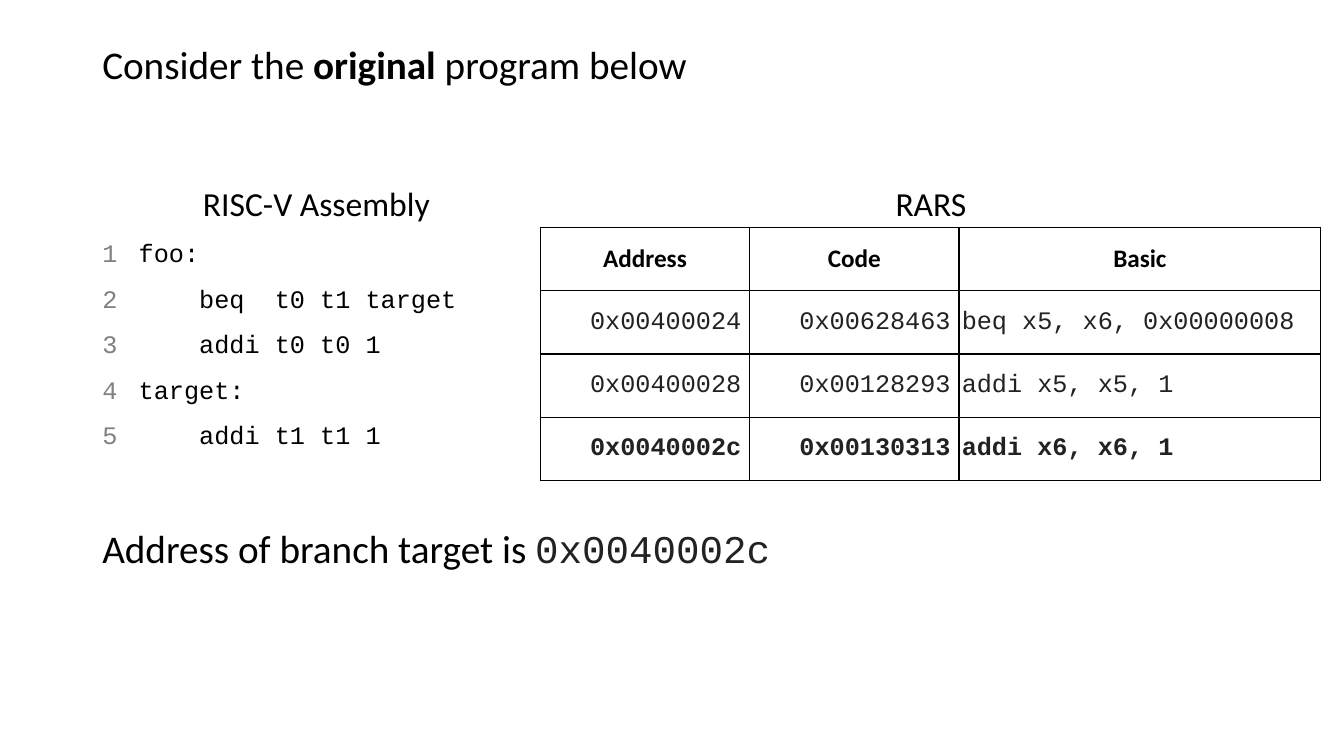
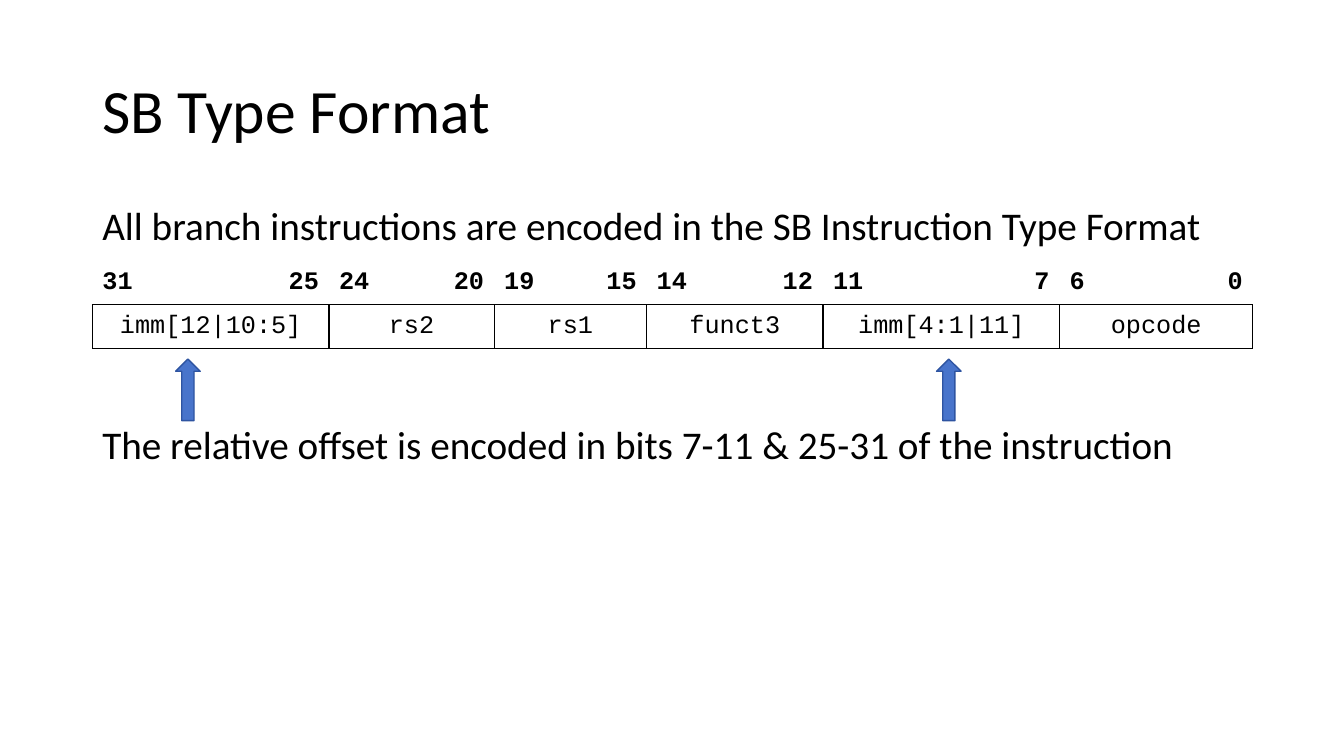
from lxml.etree import SubElement
from pptx import Presentation
from pptx.dml.color import RGBColor
from pptx.enum.shapes import MSO_SHAPE
from pptx.enum.text import MSO_ANCHOR, PP_ALIGN
from pptx.oxml.ns import qn
from pptx.util import Pt

SANS, MONO = "Calibri", "Courier New"
BLACK, INK, GREY = "000000", "222222", "808080"
BLUE, NAVY = "4874CB", "2E54A1"
LEFT, WIDTH = 66, 828
ALIGN = {"l": PP_ALIGN.LEFT, "c": PP_ALIGN.CENTER, "r": PP_ALIGN.RIGHT}

# Text styles
TITLE = dict(name=SANS, size=44, color=BLACK)
BODY = dict(TITLE, size=28)
CAPTION = dict(TITLE, size=24)
HEAD = dict(TITLE, size=18, bold=True)
CODE = dict(name=MONO, size=18, color=BLACK)
DATA = dict(CODE, color=INK)
BOLD = dict(bold=True)


def rgb(color):
    return RGBColor.from_string(color)


class Deck:
    def __init__(self):
        self.prs = Presentation()
        self.prs.slide_width, self.prs.slide_height = Pt(960), Pt(540)
        self.s = None

    def slide(self):
        self.s = self.prs.slides.add_slide(self.prs.slide_layouts[6])

    def add_runs(self, p, runs, style, align="l", spacing=None):
        """Fill a paragraph with (text, style changes) runs."""
        p.alignment = ALIGN[align]
        if spacing:
            p.line_spacing = spacing
        for text, changes in runs:
            r = p.add_run()
            r.text = text
            fmt = {**style, **changes}
            r.font.color.rgb = rgb(fmt.pop("color"))
            fmt["size"] = Pt(fmt["size"])
            for key, value in fmt.items():
                setattr(r.font, key, value)

    def text(self, box, lines, style, align="l", spacing=None,
             anchor=MSO_ANCHOR.TOP):
        """Add a text box; each line is a list of runs."""
        tf = self.s.shapes.add_textbox(*map(Pt, box)).text_frame
        tf.word_wrap, tf.vertical_anchor = True, anchor
        for i, runs in enumerate(lines):
            p = tf.add_paragraph() if i else tf.paragraphs[0]
            self.add_runs(p, runs, style, align, spacing)

    def body(self, top, *runs, spacing=0.9):
        self.text((LEFT, top, WIDTH, 44), [runs], BODY, spacing=spacing)

    def caption(self, left, text):
        self.text((left, 127, 320, 36), [[(text, {})]], CAPTION, "c")

    def code(self, left, width, lines, color=BLACK):
        self.text((left, 155.5, width, 187), [[(line, {})] for line in lines],
                  dict(CODE, color=color), spacing=1.5)

    def table(self, left, top, widths, height, rows):
        tbl = self.s.shapes.add_table(
            rows, len(widths), Pt(left), Pt(top),
            Pt(sum(widths)), Pt(height * rows)).table
        tbl.first_row = tbl.horz_banding = False
        for col, width in zip(tbl.columns, widths):
            col.width = Pt(width)
        for row in tbl.rows:
            row.height = Pt(height)
        return tbl

    def cell(self, cell, text, style, align="c", sides="LRTB", margins=None):
        """Format a cell, ruling only the given sides."""
        cell.fill.background()
        cell.vertical_anchor = MSO_ANCHOR.MIDDLE
        for side, value in (margins or {}).items():
            setattr(cell, "margin_" + side, Pt(value))
        tc_pr = cell._tc.get_or_add_tcPr()
        for i, side in enumerate("LRTB"):
            ln = SubElement(tc_pr, qn("a:ln" + side), w=str(Pt(1)))
            if side in sides:
                fill = SubElement(ln, qn("a:solidFill"))
                SubElement(fill, qn("a:srgbClr"), val=BLACK)
            else:
                SubElement(ln, qn("a:noFill"))
            tc_pr.insert(i, ln)
        if text:
            self.add_runs(cell.text_frame.paragraphs[0], [(text, {})], style,
                          align)

    def up_arrow(self, left, top):
        sp = self.s.shapes.add_shape(MSO_SHAPE.UP_ARROW, Pt(left), Pt(top),
                                     Pt(17.5), Pt(44))
        sp.shadow.inherit = False
        sp.fill.solid()
        sp.fill.fore_color.rgb = rgb(BLUE)
        sp.line.color.rgb = rgb(NAVY)
        sp.line.width = Pt(1)


def program_slide(d):
    d.slide()
    d.body(29, ("Consider the ", {}), ("original ", BOLD), ("program below", {}))

    # Assembly listing
    listing = ["foo:", "    beq  t0 t1 target", "    addi t0 t0 1",
               "target:", "    addi t1 t1 1"]
    d.code(LEFT, 26, [str(n + 1) for n in range(len(listing))], GREY)
    d.code(92, 270, listing)
    d.caption(LEFT, "RISC-V Assembly")

    # Assembled instructions
    rows = [("Address", "Code", "Basic"),
            ("0x00400024", "0x00628463", "beq x5, x6, 0x00000008"),
            ("0x00400028", "0x00128293", "addi x5, x5, 1"),
            ("0x0040002c", "0x00130313", "addi x6, x6, 1")]
    tbl = d.table(386, 162.5, [149.5, 149.5, 258.5], 45.2, len(rows))
    margins = dict(left=2, right=6, top=0, bottom=0)
    for i, row in enumerate(rows):
        for j, value in enumerate(row):
            if i == 0:
                d.cell(tbl.cell(i, j), value, HEAD)
            else:
                style = dict(DATA, bold=i == len(rows) - 1)
                d.cell(tbl.cell(i, j), value, style, "rrl"[j], margins=margins)
    d.caption(505, "RARS")

    d.body(375, ("Address of branch target is ", {}),
           ("0x0040002c", dict(name=MONO, color=INK)))


def format_slide(d):
    d.slide()
    d.text((LEFT, 29, WIDTH, 104), [[("SB Type Format", {})]], TITLE,
           spacing=0.9, anchor=MSO_ANCHOR.MIDDLE)
    d.body(144, ("All branch instructions are encoded in the "
                 "SB Instruction Type Format", {}))

    # Instruction fields: name, high bit, low bit
    fields = [("imm[12|10:5]", 31, 25), ("rs2", 24, 20), ("rs1", 19, 15),
              ("funct3", 14, 12), ("imm[4:1|11]", 11, 7), ("opcode", 6, 0)]
    widths = [69, 100, 59, 59, 59, 50, 88, 38, 100, 69, 69, 69]
    tbl = d.table(LEFT, 186, widths, 31.6, 2)
    for i, (name, high, low) in enumerate(fields):
        first, last = 2 * i, 2 * i + 1
        d.cell(tbl.cell(0, first), str(high), dict(CODE, **BOLD), "l", "B")
        d.cell(tbl.cell(0, last), str(low), dict(CODE, **BOLD), "r", "B")
        tbl.cell(1, first).merge(tbl.cell(1, last))
        d.cell(tbl.cell(1, first), name, CODE)
        d.cell(tbl.cell(1, last), "", CODE)

    # Offset fields
    d.body(297, ("The relative offset is encoded in bits 7-11 & 25-31 "
                 "of the instruction", {}), spacing=None)
    for left in (125.5, 669):
        d.up_arrow(left, 256.5)


def main():
    d = Deck()
    program_slide(d)
    format_slide(d)
    d.prs.save("out.pptx")


if __name__ == "__main__":
    main()
